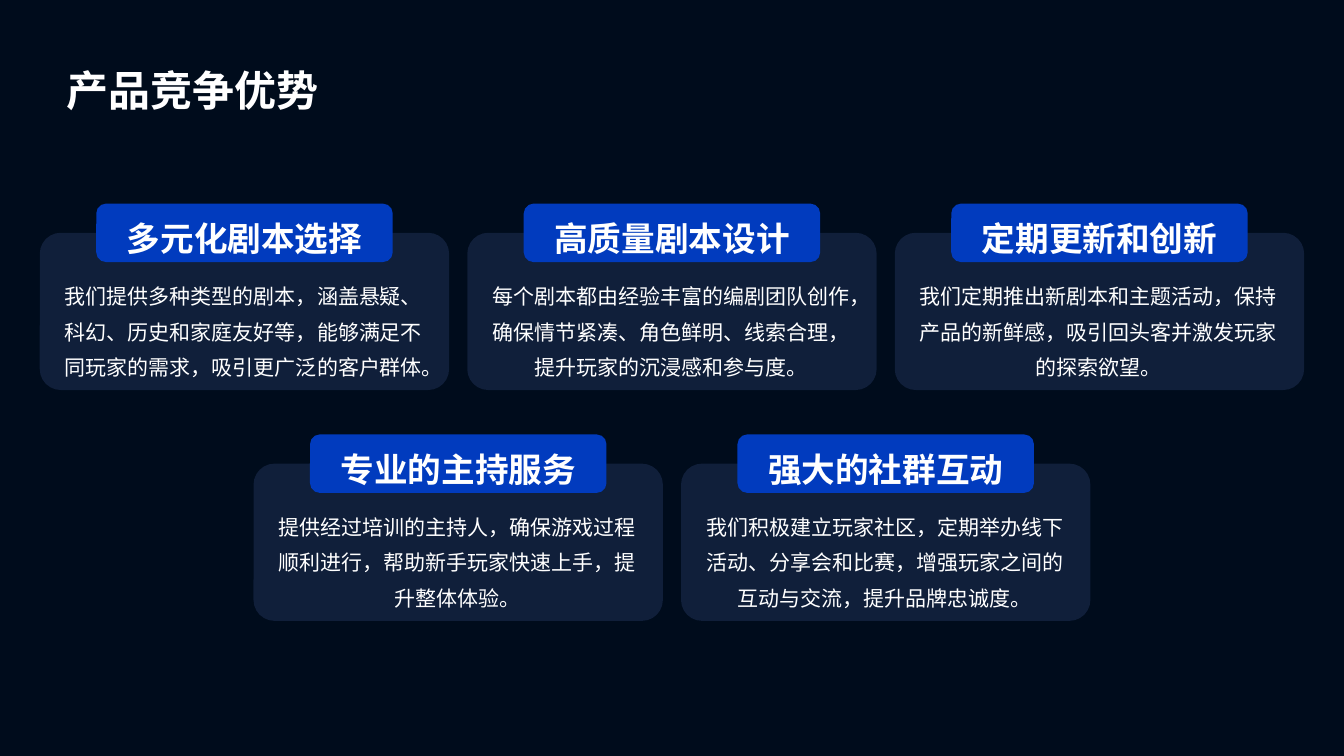
"""Build a slide of five product advantages as labelled cards in centred rows."""
from lxml import etree
from pptx import Presentation, util as u
from pptx.dml.color import RGBColor
from pptx.enum import shapes, text
from pptx.oxml.ns import qn

TITLE = "产品竞争优势"
ROWS = [
    [
        ("多元化剧本选择", "我们提供多种类型的剧本，涵盖悬疑、科幻、历史和家庭友好等，能够满足不同玩家的需求，吸引更广泛的客户群体。"),
        ("高质量剧本设计", "每个剧本都由经验丰富的编剧团队创作，确保情节紧凑、角色鲜明、线索合理，提升玩家的沉浸感和参与度。"),
        ("定期更新和创新", "我们定期推出新剧本和主题活动，保持产品的新鲜感，吸引回头客并激发玩家的探索欲望。"),
    ],
    [
        ("专业的主持服务", "提供经过培训的主持人，确保游戏过程顺利进行，帮助新手玩家快速上手，提升整体体验。"),
        ("强大的社群互动", "我们积极建立玩家社区，定期举办线下活动、分享会和比赛，增强玩家之间的互动与交流，提升品牌忠诚度。"),
    ],
]
FONT = "Noto Sans CJK SC"
NAVY, CARD, BLUE, WHITE = "000C1C", "152442", "013BBE", "FFFFFF"
SLIDE_WIDTH, SLIDE_HEIGHT = 13.33, 7.5
CARD_WIDTH, CARD_HEIGHT, CARD_GAP = 4.06, 1.56, 0.18
LABEL_WIDTH, LABEL_HEIGHT = 2.94, 0.58
FIRST_ROW, ROW_STEP = 2.31, 2.29


def inches(*lengths):
    return [u.Inches(length) for length in lengths]


def paint(fill, color, opacity=100):
    fill.solid()
    fill.fore_color.rgb = RGBColor.from_string(color)
    if opacity < 100:
        color_element = fill._xPr.find(qn("a:solidFill"))[0]
        etree.SubElement(color_element, qn("a:alpha"), val=str(opacity * 1000))


def write(shape, words, size, spacing, bold=False, align=text.PP_ALIGN.CENTER, margins=(0, 0, 0, 0)):
    frame = shape.text_frame
    frame.word_wrap = True
    frame.auto_size = text.MSO_AUTO_SIZE.NONE
    frame.vertical_anchor = text.MSO_ANCHOR.MIDDLE
    frame.margin_left, frame.margin_top, frame.margin_right, frame.margin_bottom = inches(*margins)
    paragraph = frame.paragraphs[0]
    paragraph.alignment = align
    paragraph.line_spacing = spacing
    run = paragraph.add_run()
    run.text = words
    font = run.font
    font.size, font.bold, font.name = u.Pt(size), bold, FONT
    font.color.rgb = RGBColor.from_string(WHITE)
    etree.SubElement(font._element, qn("a:ea"), typeface=FONT)


def add_panel(slide, box, color, rounding, opacity=100):
    panel = slide.shapes.add_shape(shapes.MSO_SHAPE.ROUNDED_RECTANGLE, *inches(*box))
    panel.adjustments[0] = rounding
    panel.shadow.inherit = False
    panel.line.fill.background()
    paint(panel.fill, color, opacity)


def add_text(slide, box, words, **style):
    write(slide.shapes.add_textbox(*inches(*box)), words, **style)


def add_card(slide, left, top, heading, body):
    label_left = left + (CARD_WIDTH - LABEL_WIDTH) / 2
    label_top = top - LABEL_HEIGHT / 2
    add_panel(slide, (left, top, CARD_WIDTH, CARD_HEIGHT), CARD, 0.133, opacity=80)
    add_text(slide, (left + 0.21, top + 0.42, 3.62, 1.02), body, size=15, spacing=1.4)
    add_panel(slide, (label_left, label_top, LABEL_WIDTH, LABEL_HEIGHT), BLUE, 0.167)
    add_text(slide, (label_left + 0.16, label_top + 0.07, 2.62, 0.46), heading,
             size=24, spacing=1.2, bold=True)


def main():
    presentation = Presentation()
    presentation.slide_width, presentation.slide_height = inches(SLIDE_WIDTH, SLIDE_HEIGHT)
    slide = presentation.slides.add_slide(presentation.slide_layouts[5])
    paint(slide.background.fill, NAVY)
    title = slide.shapes.title
    title.left, title.top, title.width, title.height = inches(0.52, 0.29, 12.29, 1)
    write(title, TITLE, 30, 1.4, bold=True, align=text.PP_ALIGN.LEFT, margins=(0.14, 0.14, 0.06, 0.14))
    column_step = CARD_WIDTH + CARD_GAP
    for row, cards in enumerate(ROWS):
        row_left = (SLIDE_WIDTH - len(cards) * column_step + CARD_GAP) / 2
        for column, (heading, body) in enumerate(cards):
            add_card(slide, row_left + column * column_step, FIRST_ROW + row * ROW_STEP, heading, body)
    presentation.save("out.pptx")


if __name__ == "__main__":
    main()
